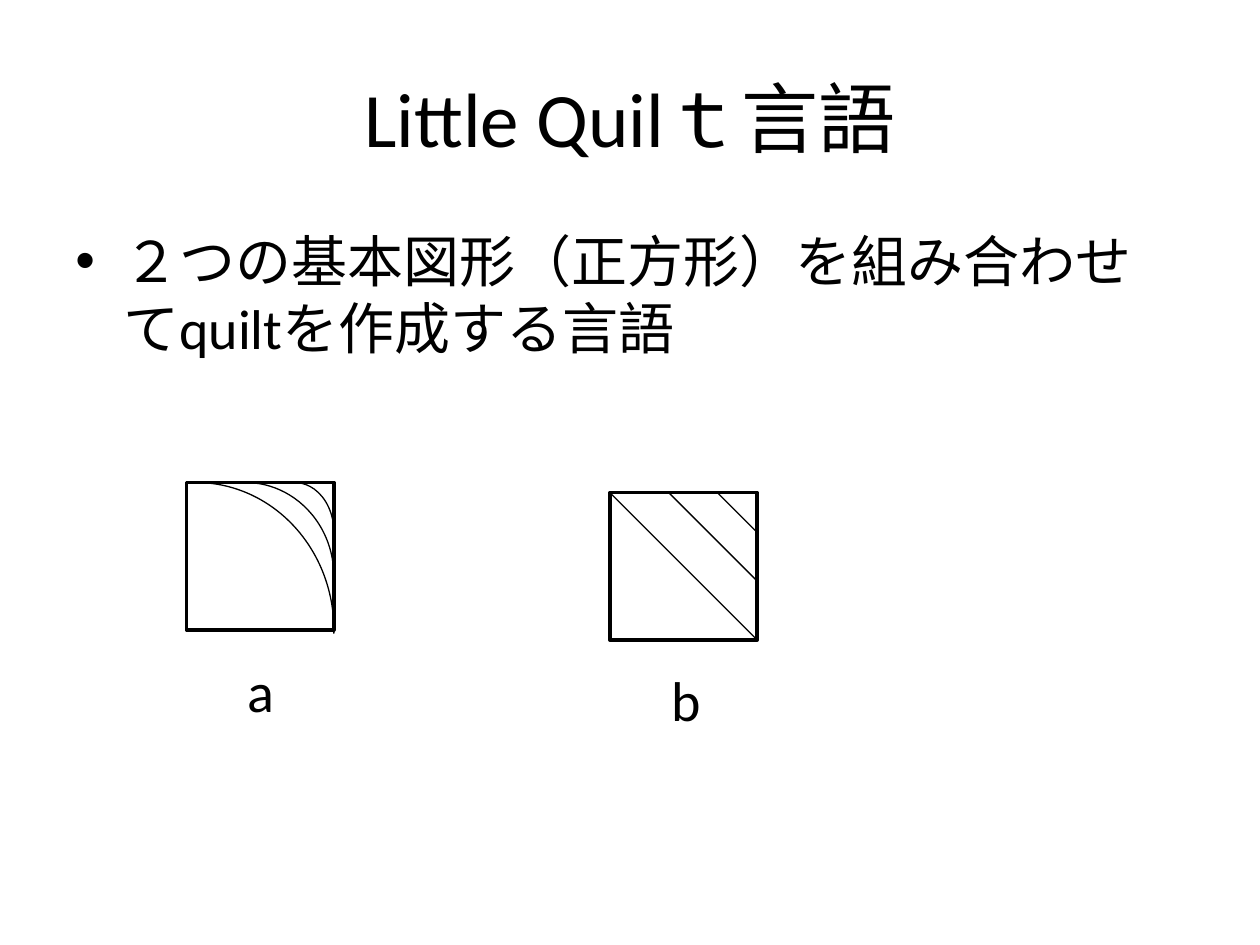
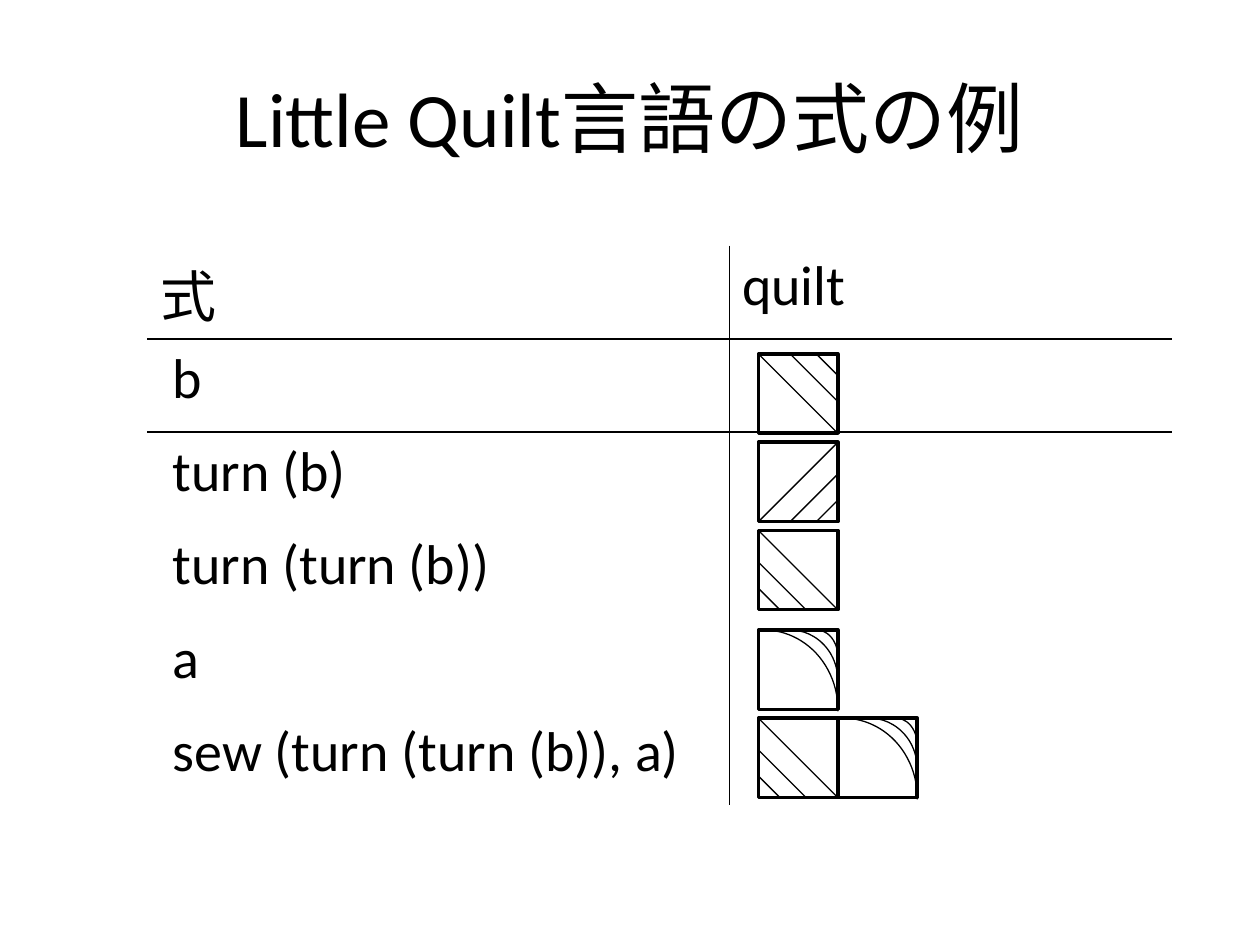
from lxml.etree import SubElement
from pptx import Presentation
from pptx.dml.color import RGBColor
from pptx.enum.shapes import MSO_CONNECTOR, MSO_SHAPE
from pptx.enum.text import MSO_ANCHOR, PP_ALIGN
from pptx.oxml import parse_xml
from pptx.oxml.ns import nsdecls, qn
from pptx.util import Inches, Pt

COLORS = {"ink": "000000", "paper": "FFFFFF"}
TITLE_FONT = {"size": Pt(44), "name": "Calibri"}
TEXT_FONT = {"size": Pt(32), "name": "Calibri"}
PLAIN_TABLE_STYLE = "{2D5ABB26-0587-4C30-8999-92F81FD0307C}"
ARC_ANGLES = (163.789, 0.902)
ARC_SIZES = ((1.87, 2), (1.2, 1.27), (0.53, 0.67))
STRIPE_STARTS = (0, 0.4, 0.73)
EDGE_WIDTH, THREAD_WIDTH = 2, 0.75


def apply(target, settings):
    for attribute, value in settings.items():
        setattr(target, attribute, value)


def ink(color):
    return RGBColor.from_string(COLORS[color])


def write(frame, text, font, align=PP_ALIGN.LEFT):
    paragraph = frame.paragraphs[0]
    paragraph.text = text
    paragraph.alignment = align
    apply(paragraph.runs[0].font, font)
    paragraph.runs[0].font.color.rgb = ink("ink")
    return paragraph


def add_text(slide, text, place, font, align=PP_ALIGN.LEFT, **frame_settings):
    frame = slide.shapes.add_textbox(*map(Inches, place)).text_frame
    apply(frame, {"word_wrap": True, **frame_settings})
    return write(frame, text, font, align)


def add_titled_slide(deck, title):
    slide = deck.slides.add_slide(deck.slide_layouts[6])
    slide.background.fill.solid()
    slide.background.fill.fore_color.rgb = ink("paper")
    add_text(slide, title, (0.5, 0.3, 9, 1.25), TITLE_FONT, PP_ALIGN.CENTER,
             vertical_anchor=MSO_ANCHOR.MIDDLE)
    return slide


def add_bullet(slide, text, place):
    properties = add_text(slide, text, place, TEXT_FONT)._p.get_or_add_pPr()
    properties.set("marL", str(Inches(0.38)))
    properties.set("indent", str(-Inches(0.38)))
    SubElement(properties, qn("a:buFont")).set("typeface", "Arial")
    SubElement(properties, qn("a:buChar")).set("char", "•")


def draw_outline(shape, width):
    shape.line.color.rgb = ink("ink")
    shape.line.width = Pt(width)


def add_outlined(group, preset, place, width):
    shape = group.shapes.add_shape(preset, *map(Inches, place))
    shape.shadow.inherit = False
    shape.fill.background()
    draw_outline(shape, width)
    return shape


def add_patch(slide, left, top, side):
    group = slide.shapes.add_group_shape()
    add_outlined(group, MSO_SHAPE.RECTANGLE, (left, top, side, side), EDGE_WIDTH)
    return group


def add_patch_a(slide, left, top, side):
    group = add_patch(slide, left, top, side)
    for width, height in ARC_SIZES:
        place = (left + side - width * side, top, width * side, height * side)
        arc = add_outlined(group, MSO_SHAPE.ARC, place, THREAD_WIDTH)
        arc.adjustments[0], arc.adjustments[1] = ARC_ANGLES


def turn(point, turns):
    x, y = point
    for _ in range(turns):
        x, y = 1 - y, x
    return x, y


def add_patch_b(slide, left, top, side, turns=0):
    group = add_patch(slide, left, top, side)
    for start in STRIPE_STARTS:
        ends = [turn(point, turns) for point in ((start, 0), (1, 1 - start))]
        places = [Inches(value) for x, y in ends
                  for value in (left + x * side, top + y * side)]
        thread = group.shapes.add_connector(MSO_CONNECTOR.STRAIGHT, *places)
        SubElement(thread._element.spPr, qn("a:effectLst"))
        draw_outline(thread, THREAD_WIDTH)


def set_borders(cell, sides):
    cell.fill.background()
    properties = cell._tc.get_or_add_tcPr()
    for position, side in enumerate(sides):
        properties.insert(position, parse_xml(
            f'<a:ln{side} {nsdecls("a")} w="{Pt(1)}"><a:solidFill>'
            f'<a:srgbClr val="{COLORS["ink"]}"/></a:solidFill></a:ln{side}>'))


def add_expression_table(slide, headers, expressions):
    row_height, column_widths = 0.74, (4.62, 3.51)
    rows = [headers] + [(expression, "") for expression in expressions]
    table = slide.shapes.add_table(
        len(rows), 2, Inches(1.17), Inches(1.95),
        Inches(sum(column_widths)), Inches(row_height * len(rows))).table
    table._tbl.tblPr.find(qn("a:tableStyleId")).text = PLAIN_TABLE_STYLE
    apply(table, {"first_row": False, "horz_banding": False})
    for column, width in zip(table.columns, column_widths):
        column.width = Inches(width)
    for row_index, row in enumerate(rows):
        table.rows[row_index].height = Inches(row_height)
        for column_index, text in enumerate(row):
            cell = table.cell(row_index, column_index)
            set_borders(cell, "RL"[column_index] + {0: "B", 1: "T"}.get(row_index, ""))
            if text:
                write(cell.text_frame, text, TEXT_FONT)
            if row_index:
                cell.margin_left = Inches(0.2)


def build_language_slide(deck):
    slide = add_titled_slide(deck, "Little Quilｔ言語")
    add_bullet(slide, "２つの基本図形（正方形）を組み合わせてquiltを作成する言語",
               (0.5, 1.75, 9, 4.95))
    side = 1.17
    add_patch_a(slide, 1.48, 3.83, side)
    add_patch_b(slide, 4.84, 3.91, side)
    for name, left, top in (("a", 1.87, 5.16), ("b", 5.23, 5.23)):
        add_text(slide, name, (left, top, 0.43, 0.64), TEXT_FONT, word_wrap=False)


def build_examples_slide(deck):
    slide = add_titled_slide(deck, "Little Quilt言語の式の例")
    add_expression_table(slide, ("式", "quilt"), (
        "b", "turn (b)", "turn (turn (b))", "a", "sew (turn (turn (b)), a)"))
    left, side, pitch = 6.02, 0.63, 0.7
    for turns in range(3):
        add_patch_b(slide, left, 2.81 + turns * pitch, side, turns)
    add_patch_a(slide, left, 5, side)
    add_patch_b(slide, left, 5 + pitch, side, turns=2)
    add_patch_a(slide, left + side, 5 + pitch, side)


def main():
    deck = Presentation()
    apply(deck, {"slide_width": Inches(10), "slide_height": Inches(7.5)})
    build_language_slide(deck)
    build_examples_slide(deck)
    deck.save("out.pptx")


if __name__ == "__main__":
    main()
